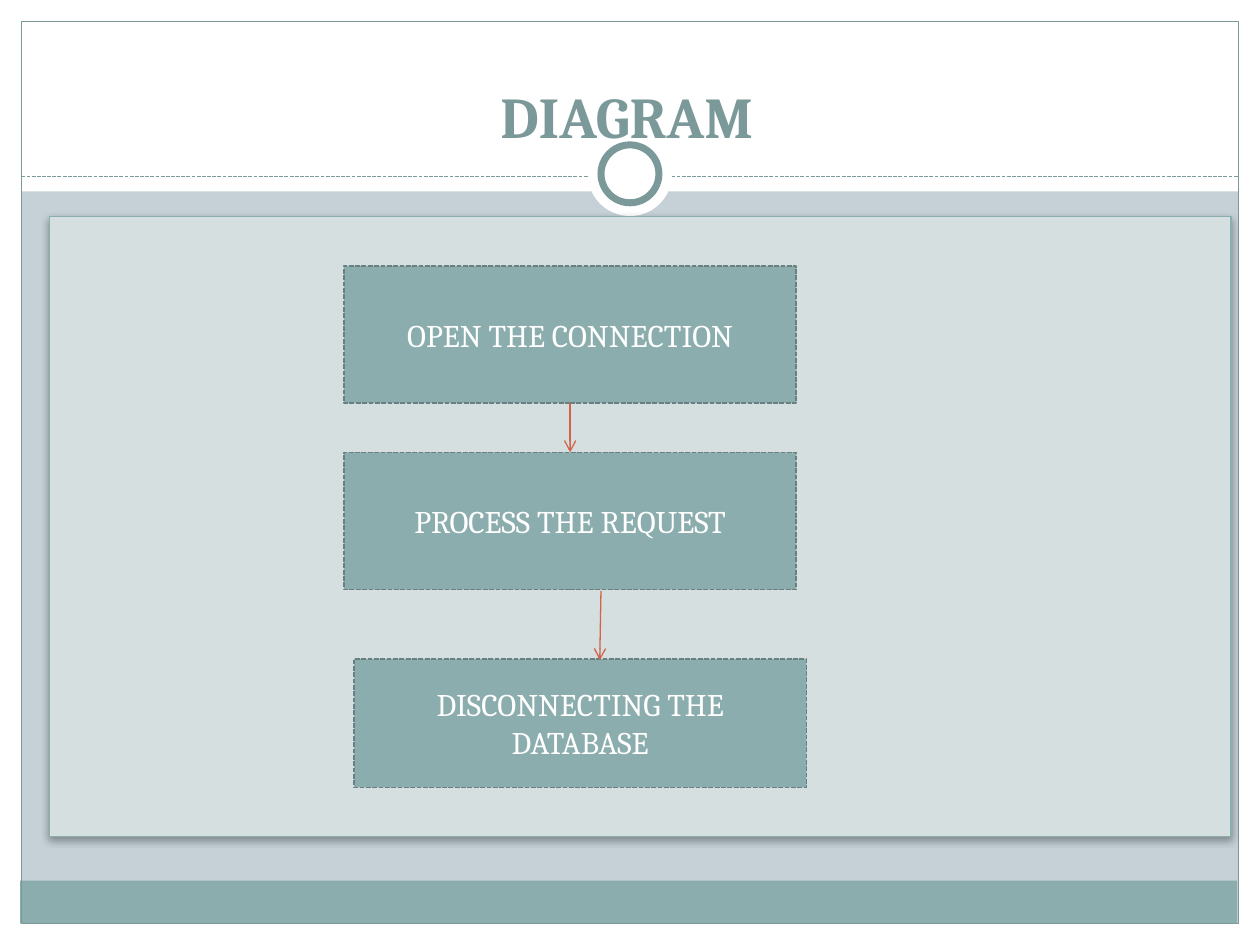
import pptx
import pptx.dml.color
import pptx.enum.dml
import pptx.enum.shapes
import pptx.enum.text
import pptx.oxml
import pptx.oxml.ns
import pptx.util
from lxml import etree

# Grid: 100 columns by 75 rows on a 10 x 7.5 inch page
CELL = 0.1
COLUMNS, ROWS = 100, 75
MARGIN = 1.7
FONT = "Cambria"
COLORS = {
    "page": "C5D1D7",
    "white": "FFFFFF",
    "teal": "8CADAE",
    "frame": "7C999A",
    "panel": "D5DFDF",
    "outline": "688081",
    "arrow": "D16349",
    "shadow": "000000",
}
SHAPES = pptx.enum.shapes.MSO_SHAPE
DASH = pptx.enum.dml.MSO_LINE.SQUARE_DOT
ANCHOR = pptx.enum.text.MSO_ANCHOR
BOTTOM_SIDE, TOP_SIDE = 2, 0


def grid(*cells):
    return [pptx.util.Inches(cell * CELL) for cell in cells]


def color(name):
    return pptx.dml.color.RGBColor.from_string(COLORS[name])


def add_child(parent, tag, **attributes):
    return etree.SubElement(parent, pptx.oxml.ns.qn(tag), attributes)


def style_line(line, name, width, dash=None):
    line.color.rgb = color(name)
    line.width = pptx.util.Pt(width)
    if dash is not None:
        line.dash_style = dash


def add_box(page, place, fill=None, line=None, width=0.75, dash=None, kind=SHAPES.RECTANGLE):
    box = page.shapes.add_shape(kind, *grid(*place))
    box.shadow.inherit = False
    if fill:
        box.fill.solid()
        box.fill.fore_color.rgb = color(fill)
    else:
        box.fill.background()
    if line:
        style_line(box.line, line, width, dash)
    else:
        box.line.fill.background()
    return box


def add_circle(page, center, diameter, **style):
    column, row = center
    place = (column - diameter / 2, row - diameter / 2, diameter, diameter)
    return add_box(page, place, kind=SHAPES.OVAL, **style)


def write(box, text, size, name, anchor, bold=False):
    frame = box.text_frame
    frame.word_wrap = True
    frame.vertical_anchor = anchor
    para = frame.paragraphs[0]
    para.text = text
    para.alignment = pptx.enum.text.PP_ALIGN.CENTER
    para.font.name = FONT
    para.font.size = pptx.util.Pt(size)
    para.font.bold = bold
    para.font.color.rgb = color(name)


def add_line(page, start, end, name, dash=None, arrow=False):
    line = page.shapes.add_connector(
        pptx.enum.shapes.MSO_CONNECTOR.STRAIGHT, *grid(*start, *end))
    style_line(line.line, name, 0.75, dash)
    if arrow:
        add_child(line.line._get_or_add_ln(), "a:tailEnd", type="arrow")
    add_child(line._element.spPr, "a:effectLst")
    return line


def add_soft_shadow(box):
    effects = box._element.spPr.find(pptx.oxml.ns.qn("a:effectLst"))
    shadow = add_child(effects, "a:outerShdw", blurRad=str(pptx.util.Pt(4)),
                       dist=str(pptx.util.Pt(2)), dir="5400000", rotWithShape="0")
    tint = add_child(shadow, "a:srgbClr", val=COLORS["shadow"])
    add_child(tint, "a:alpha", val="35000")


def add_backdrop(page):
    # White borders around the page, the top one doubling as title band
    for place in ((0, ROWS - MARGIN, COLUMNS, MARGIN),
                  (0, 0, COLUMNS, 15.2),
                  (0, 0, MARGIN, ROWS),
                  (COLUMNS - MARGIN, 0, MARGIN, ROWS)):
        add_box(page, place, fill="white")
    # Footer band, frame and dashed rule
    inner_width = COLUMNS - 2 * MARGIN
    add_box(page, (MARGIN - 0.1, 69.9, inner_width, 3.4), fill="teal")
    add_box(page, (MARGIN, MARGIN, inner_width, ROWS - 2 * MARGIN), line="frame")
    add_line(page, (MARGIN, 14), (COLUMNS - MARGIN, 14), "frame", DASH)
    # Ring over the rule
    center = (COLUMNS / 2, 13.8)
    add_circle(page, center, 6.7, fill="white")
    add_circle(page, center, 4.6, fill="white", line="frame", width=4)


def add_step(page, text, column, row, height):
    box = add_box(page, (column, row, 35.9, height), "teal", "outline", 0.9, DASH)
    write(box, text, 18, "white", ANCHOR.MIDDLE)
    return box


def main():
    deck = pptx.Presentation()
    deck.slide_width, deck.slide_height = grid(COLUMNS, ROWS)
    page = deck.slides.add_slide(deck.slide_layouts[6])
    page.background.fill.solid()
    page.background.fill.fore_color.rgb = color("page")
    add_backdrop(page)

    # Title
    title = page.shapes.add_textbox(*grid(3.1, 1.6, 93.3, 10.8))
    write(title, "DIAGRAM", 33, "frame", ANCHOR.BOTTOM, bold=True)

    # Panel and the three steps
    add_soft_shadow(add_box(page, (3.9, 17.2, 93.8, 49.2), "panel", "teal"))
    opening = add_step(page, "OPEN THE CONNECTION", 27.3, 21.1, 10.9)
    process = add_step(page, "PROCESS THE REQUEST", 27.3, 35.9, 10.9)
    add_step(page, "DISCONNECTING THE DATABASE", 28.1, 52.3, 10.2)

    # Arrows: the second one runs off-centre between its steps
    first = add_line(page, (45.3, 32), (45.3, 35.9), "arrow", arrow=True)
    first.begin_connect(opening, BOTTOM_SIDE)
    first.end_connect(process, TOP_SIDE)
    add_line(page, (47.7, 46.9), (47.6, 52.4), "arrow", arrow=True)

    deck.save("out.pptx")


if __name__ == "__main__":
    main()
